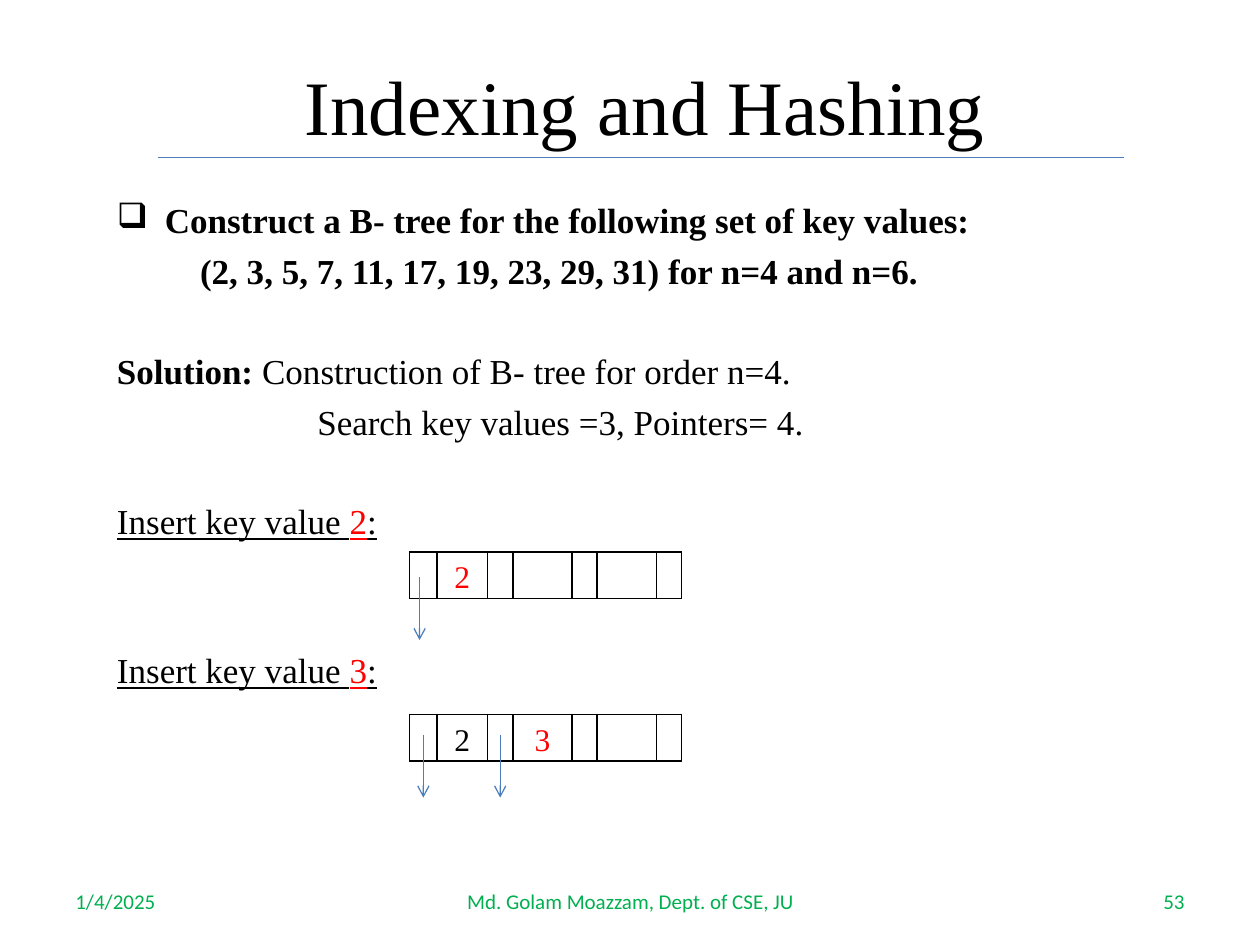
from lxml import etree
from pptx import Presentation
from pptx.dml.color import RGBColor
from pptx.enum.shapes import MSO_CONNECTOR
from pptx.enum.text import MSO_ANCHOR, PP_ALIGN
from pptx.oxml.ns import qn
from pptx.util import Inches, Pt

STRAIGHT = MSO_CONNECTOR.STRAIGHT
TOP, MIDDLE, BOTTOM = MSO_ANCHOR.TOP, MSO_ANCHOR.MIDDLE, MSO_ANCHOR.BOTTOM
LEFT, CENTER, RIGHT = PP_ALIGN.LEFT, PP_ALIGN.CENTER, PP_ALIGN.RIGHT

COLORS = {"ink": "000000", "key": "FF0000", "footer": "00B050", "line": "4B7EBC"}
SERIF, SANS = "Times New Roman", "Calibri"
NODE_COLUMNS = [0.22, 0.4, 0.2, 0.47, 0.2, 0.47, 0.2]
NODE_LEFT, NODE_HEIGHT = 3.25, 0.37


class TreeSlide:
    """Draws the parts of a B-tree slide in one style."""

    def __init__(self, slide):
        self.slide = slide

    def color(self, name):
        return RGBColor.from_string(COLORS[name])

    def style(self, font, size, color="ink", name=SERIF, bold=False, underline=False):
        font.name, font.size, font.bold = name, Pt(size), bold
        font.underline = underline
        font.color.rgb = self.color(color)

    def frame(self, left, top, width, height, anchor):
        box = self.slide.shapes.add_textbox(
            Inches(left), Inches(top), Inches(width), Inches(height))
        box.text_frame.word_wrap = True
        box.text_frame.vertical_anchor = anchor
        return box.text_frame

    def label(self, text, left, top, width, height, anchor, align, **look):
        frame = self.frame(left, top, width, height, anchor)
        frame.text = text
        paragraph = frame.paragraphs[0]
        paragraph.alignment = align
        self.style(paragraph.runs[0].font, **look)

    def body(self, lines, left, top, width, height):
        frame = self.frame(left, top, width, height, TOP)
        for number, (indent, bullet, space, parts) in enumerate(lines):
            paragraph = frame.add_paragraph() if number else frame.paragraphs[0]
            paragraph.alignment = LEFT
            paragraph.space_before = Pt(space)
            properties = paragraph._p.get_or_add_pPr()
            properties.set("marL", str(Inches(indent)))
            properties.set("indent", str(Inches(-indent if bullet else 0)))
            if bullet:
                etree.SubElement(properties, qn("a:buChar")).set("char", bullet)
            else:
                etree.SubElement(properties, qn("a:buNone"))
            for text, look in parts:
                run = paragraph.add_run()
                run.text = text
                self.style(run.font, 20, **look)

    def line(self, start, end, arrow=False):
        connector = self.slide.shapes.add_connector(
            STRAIGHT, *(Inches(value) for value in start + end))
        connector.line.color.rgb = self.color("line")
        connector.line.width = Pt(0.75)
        if arrow:
            outline = connector.line._get_or_add_ln()
            etree.SubElement(outline, qn("a:tailEnd")).set("type", "arrow")
        etree.SubElement(connector._element.spPr, qn("a:effectLst"))

    def border(self, cell):
        properties = cell._tc.get_or_add_tcPr()
        for side in ("lnL", "lnR", "lnT", "lnB"):
            edge = etree.SubElement(properties, qn(f"a:{side}"), w=str(Pt(1)))
            fill = etree.SubElement(edge, qn("a:solidFill"))
            etree.SubElement(fill, qn("a:srgbClr"), val=COLORS["ink"])

    def node(self, top, keys):
        table = self.slide.shapes.add_table(
            1, len(NODE_COLUMNS), Inches(NODE_LEFT), Inches(top),
            Inches(sum(NODE_COLUMNS)), Inches(NODE_HEIGHT)).table
        table.first_row = table.horz_banding = False
        for index, width in enumerate(NODE_COLUMNS):
            table.columns[index].width = Inches(width)
            cell = table.cell(0, index)
            self.border(cell)
            cell.fill.background()
            cell.vertical_anchor = MIDDLE
            cell.margin_left = cell.margin_right = Inches(0.07)
            cell.margin_top = cell.margin_bottom = 0
            if index in keys:
                key, color = keys[index]
                cell.text = key
                paragraph = cell.text_frame.paragraphs[0]
                paragraph.alignment = CENTER
                paragraph.line_spacing = 1.15
                self.style(paragraph.runs[0].font, 18, color)


def insertion(key, space):
    look = {"underline": True}
    return (0, None, space, [("Insert key value ", look),
                             (key, {"underline": True, "color": "key"}), (":", look)])


def main():
    presentation = Presentation()
    presentation.slide_width, presentation.slide_height = Inches(10), Inches(7.5)
    page = TreeSlide(presentation.slides.add_slide(presentation.slide_layouts[6]))

    page.label("Indexing and Hashing", 1.33, 0.38, 7.58, 0.87, BOTTOM, CENTER, size=44)
    page.line((1.25, 1.25), (8.92, 1.25))
    for text, left, width, align in (
            ("1/4/2025", 0.5, 2.33, LEFT),
            ("Md. Golam Moazzam, Dept. of CSE, JU", 3.42, 3.17, CENTER),
            ("53", 7.17, 2.33, RIGHT)):
        page.label(text, left, 6.95, width, 0.4, MIDDLE, align,
                   size=12, color="footer", name=SANS)

    bold = {"bold": True}
    page.body([
        (0.38, "❑", 0, [("Construct a B- tree for the following set of key values:", bold)]),
        (0.66, None, 5, [("(2, 3, 5, 7, 11, 17, 19, 23, 29, 31) for n=4 and n=6.", bold)]),
        (0, None, 33, [("Solution:", bold), (" Construction of B- tree for order n=4.", {})]),
        (1.59, None, 5, [("Search key values =3, Pointers= 4.", {})]),
        insertion("2", 33),
        insertion("3", 61),
    ], 0.83, 1.53, 9, 5.14)

    page.node(4.38, {1: ("2", "key")})
    page.node(5.67, {1: ("2", "ink"), 3: ("3", "key")})
    for x, top in ((3.33, 4.58), (3.36, 5.83), (3.97, 5.83)):
        page.line((x, top), (x, top + 0.5), arrow=True)

    presentation.save("out.pptx")


if __name__ == "__main__":
    main()
